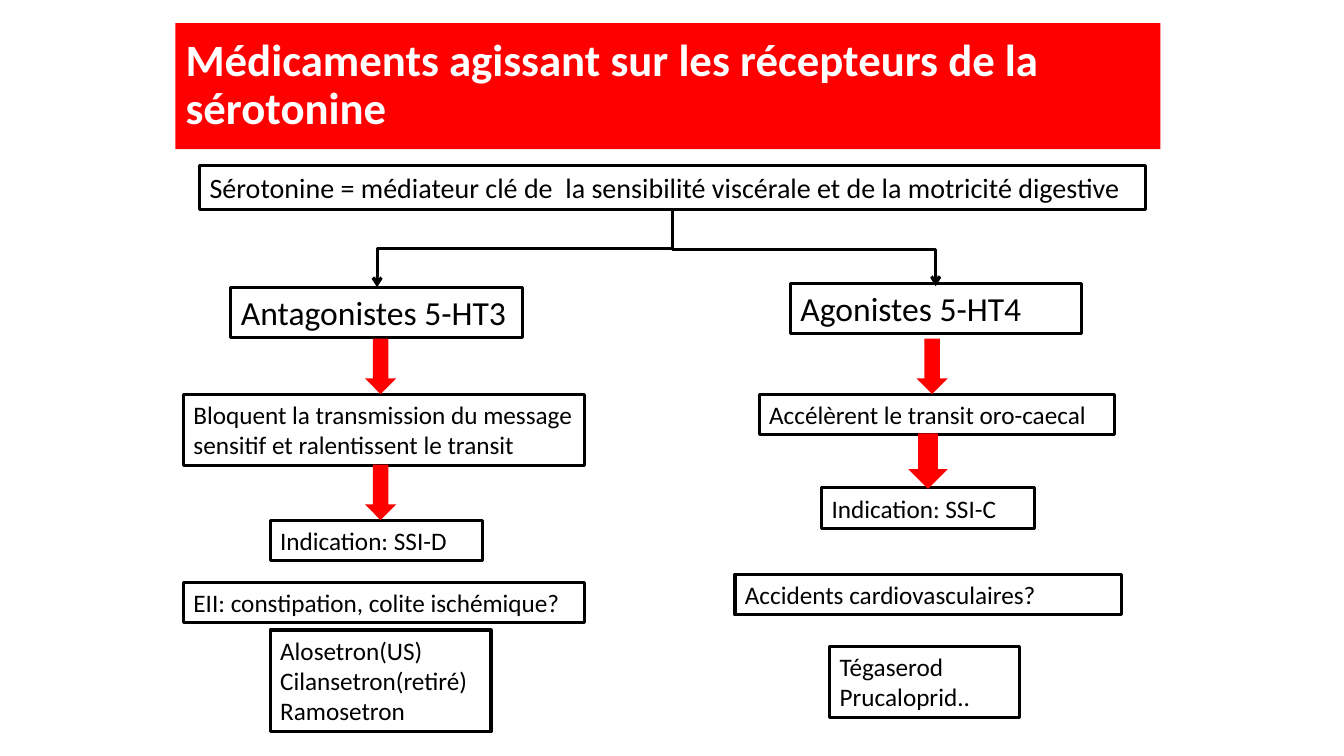
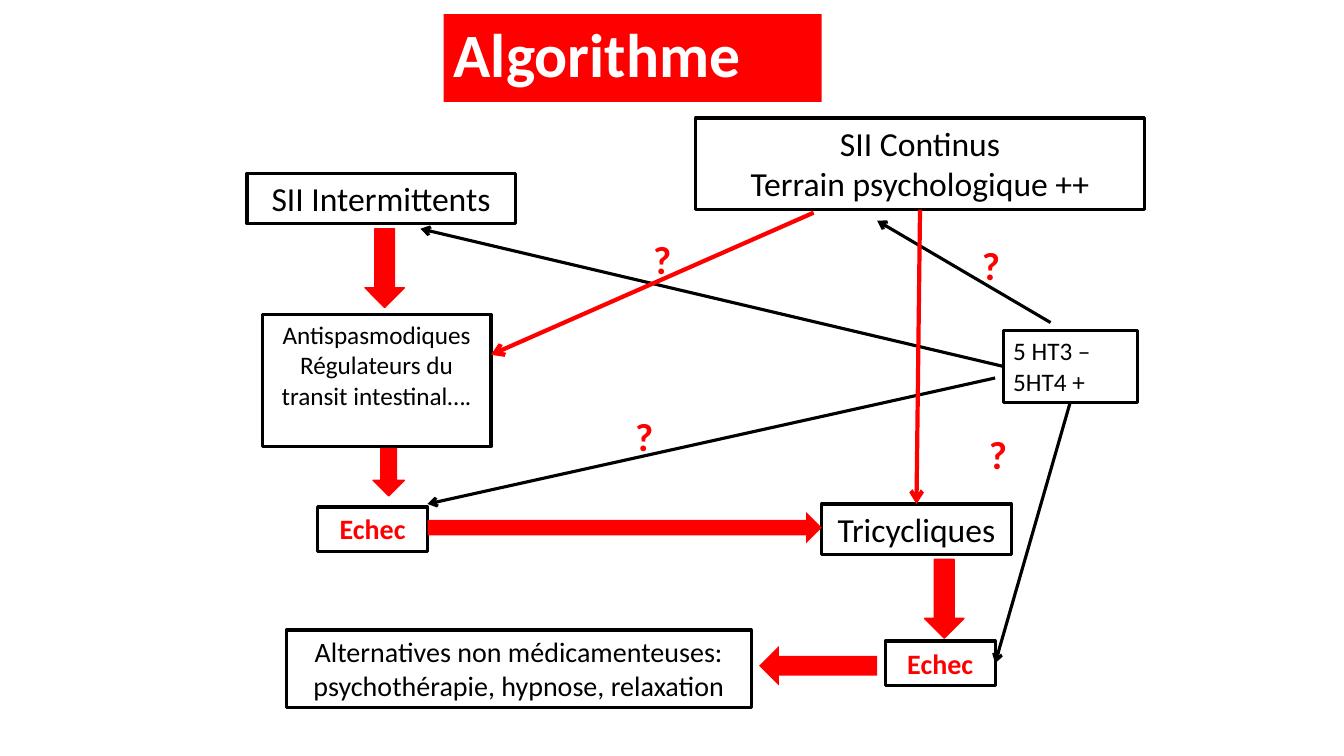
"""Build two slides on serotonin receptor drugs and the treatment algorithm."""
from pptx import Presentation
from pptx.dml.color import RGBColor
from pptx.enum.shapes import MSO_CONNECTOR, MSO_SHAPE
from pptx.enum.text import MSO_ANCHOR, MSO_AUTO_SIZE, PP_ALIGN
from pptx.oxml.ns import qn
from pptx.util import Inches, Pt
from lxml.etree import SubElement

RED, BLACK, WHITE = "FF0000", "000000", "FFFFFF"
FONT = "Calibri"
LEFT, CENTER = PP_ALIGN.LEFT, PP_ALIGN.CENTER
DOWN, RIGHT_ARROW, LEFT_ARROW = MSO_SHAPE.DOWN_ARROW, MSO_SHAPE.RIGHT_ARROW, MSO_SHAPE.LEFT_ARROW
TOP_SIDE, LEFT_SIDE, BOTTOM_SIDE, RIGHT_SIDE = range(4)


def write_text(shape, text, size, color, bold, alignment):
    """Fill a shape with wrapped text in one format."""
    frame = shape.text_frame
    frame.text = text
    frame.word_wrap = True
    frame.auto_size = MSO_AUTO_SIZE.NONE
    for paragraph in frame.paragraphs:
        paragraph.alignment = alignment
        for run in paragraph.runs:
            run.font.name = FONT
            run.font.size = Pt(size)
            run.font.bold = bold
            run.font.color.rgb = RGBColor.from_string(color)


def style_connector(connector, color, width):
    """Give a connector its line and an open arrowhead, without shadow."""
    connector.line.color.rgb = RGBColor.from_string(color)
    connector.line.width = Pt(width)
    properties = connector._element.spPr
    SubElement(properties.find(qn("a:ln")), qn("a:tailEnd"), type="arrow")
    SubElement(properties, qn("a:effectLst"))


slides = [
    {
        "title": ("Médicaments agissant sur les récepteurs de la sérotonine", 32, (1.74, 0.23, 9.77, 1.25)),
        "alignment": LEFT,
        "boxes": {
            "serotonin": ("Sérotonine = médiateur clé de  la sensibilité viscérale et de la motricité digestive",
                          20, (1.98, 1.64, 9.38, 0.44)),
            "antagonists": ("Antagonistes 5-HT3", 24, (2.29, 2.85, 2.89, 0.5)),
            "agonists": ("Agonistes 5-HT4", 24, (7.84, 2.81, 2.89, 0.5)),
            "antagonist effect": ("Bloquent la transmission du message sensitif et ralentissent le transit",
                                  18, (1.82, 3.91, 3.98, 0.71)),
            "agonist effect": ("Accélèrent le transit oro-caecal", 18, (7.53, 3.91, 3.52, 0.4)),
            "antagonist indication": ("Indication: SSI-D", 18, (2.68, 5.16, 2.11, 0.4)),
            "agonist indication": ("Indication: SSI-C", 18, (8.15, 4.84, 2.11, 0.4)),
            "antagonist risks": ("EII: constipation, colite ischémique?", 18, (1.82, 5.78, 3.98, 0.4)),
            "agonist risks": ("Accidents cardiovasculaires?", 18, (7.29, 5.7, 3.83, 0.4)),
            "antagonist drugs": ("Alosetron(US)\nCilansetron(retiré)\nRamosetron", 18, (2.68, 6.25, 2.19, 1.01)),
            "agonist drugs": ("Tégaserod\nPrucaloprid..", 18, (8.23, 6.41, 1.88, 0.71)),
        },
        "block arrows": [
            (DOWN, False, (3.62, 3.36, 0.31, 0.55)),
            (DOWN, False, (3.62, 4.61, 0.31, 0.55)),
            (DOWN, False, (9.09, 3.36, 0.31, 0.55)),
            (DOWN, False, (9.01, 4.3, 0.39, 0.55)),
        ],
        "elbows": [((6.67, 2.11), (9.28, 2.84)), ((6.67, 2.08), (3.74, 2.85))],
        "lines": [],
        "question marks": [],
    },
    {
        "title": ("Algorithme", 44, (4.4, 0.14, 3.75, 0.87)),
        "alignment": CENTER,
        "boxes": {
            "intermittent": ("SII Intermittents", 24, (2.45, 1.72, 2.66, 0.5)),
            "continuous": ("SII Continus\nTerrain psychologique ++", 24, (6.9, 1.17, 4.45, 0.91)),
            "antispasmodics": ("Antispasmodiques Régulateurs du transit intestinal….", 18, (2.6, 3.12, 2.27, 1.31)),
            "first failure": ("Echec", 20, (3.15, 5.03, 1.09, 0.44)),
            "tricyclics": ("Tricycliques", 24, (8.15, 5, 1.88, 0.5)),
            "second failure": ("Echec", 20, (8.78, 6.36, 1.09, 0.44)),
            "alternatives": ("Alternatives non médicamenteuses: psychothérapie, hypnose, relaxation",
                             20, (2.84, 6.25, 4.61, 0.77)),
            "receptors": ("5 HT3 –\n5HT4 +", 18, (9.95, 3.28, 1.33, 0.71)),
        },
        "block arrows": [
            (DOWN, True, (3.62, 2.27, 0.39, 0.78)),
            (DOWN, True, (9.17, 5.55, 0.39, 0.78)),
            (DOWN, True, (3.7, 4.45, 0.31, 0.47)),
            (RIGHT_ARROW, False, (4.24, 5.08, 3.91, 0.31)),
            (LEFT_ARROW, False, (7.53, 6.41, 1.17, 0.39)),
        ],
        "elbows": [],
        "lines": [
            ((10.42, 3.2), (8.7, 2.19), BLACK, 2.25),
            (("receptors", LEFT_SIDE), (4.17, 2.27), BLACK, 2.25),
            ((9.87, 3.75), (4.24, 5), BLACK, 2.25),
            (("receptors", BOTTOM_SIDE), ("second failure", RIGHT_SIDE), BLACK, 2.25),
            ((8.07, 2.11), (4.87, 3.52), RED, 3),
            (("continuous", BOTTOM_SIDE), ("tricyclics", TOP_SIDE), RED, 3),
        ],
        "question marks": [(6.2, 4.04), (6.38, 2.29), (9.64, 2.34), (9.71, 4.22)],
    },
]

presentation = Presentation()
presentation.slide_width = Inches(13.33)
presentation.slide_height = Inches(7.5)

for content in slides:
    slide = presentation.slides.add_slide(presentation.slide_layouts[5])
    shapes = slide.shapes

    text, size, bounds = content["title"]
    title = shapes.title
    title.left, title.top, title.width, title.height = map(Inches, bounds)
    title.fill.solid()
    title.fill.fore_color.rgb = RGBColor.from_string(RED)
    write_text(title, text, size, WHITE, True, LEFT)
    title.text_frame.vertical_anchor = MSO_ANCHOR.MIDDLE
    title.text_frame.paragraphs[0].line_spacing = 0.9

    boxes = {}
    for name, (text, size, bounds) in content["boxes"].items():
        box = shapes.add_textbox(*map(Inches, bounds))
        box.line.color.rgb = RGBColor.from_string(BLACK)
        box.line.width = Pt(2.25)
        is_failure = text == "Echec"
        alignment = LEFT if name == "receptors" else content["alignment"]
        write_text(box, text, size, RED if is_failure else BLACK, is_failure, alignment)
        boxes[name] = box

    for kind, outlined, bounds in content["block arrows"]:
        arrow = shapes.add_shape(kind, *map(Inches, bounds))
        arrow.shadow.inherit = False
        arrow.fill.solid()
        arrow.fill.fore_color.rgb = RGBColor.from_string(RED)
        if outlined:
            arrow.line.color.rgb = RGBColor.from_string(RED)
            arrow.line.width = Pt(1)
        else:
            arrow.line.fill.background()

    for (start_x, start_y), (end_x, end_y) in content["elbows"]:
        center_x, center_y = (start_x + end_x) / 2, (start_y + end_y) / 2
        side = 1 if end_x > start_x else -1
        half_width = side * (end_y - start_y) / 2
        half_height = abs(end_x - start_x) / 2
        elbow = shapes.add_connector(
            MSO_CONNECTOR.ELBOW,
            Inches(center_x + half_width), Inches(center_y - half_height),
            Inches(center_x - half_width), Inches(center_y + half_height))
        elbow._element.spPr.find(qn("a:xfrm")).set("rot", str((180 + side * 90) * 60000))
        style_connector(elbow, BLACK, 2.25)

    for start, end, color, width in content["lines"]:
        line = shapes.add_connector(MSO_CONNECTOR.STRAIGHT, 0, 0, 0, 0)
        if start[0] in boxes:
            line.begin_connect(boxes[start[0]], start[1])
        else:
            line.begin_x, line.begin_y = map(Inches, start)
        if end[0] in boxes:
            line.end_connect(boxes[end[0]], end[1])
        else:
            line.end_x, line.end_y = map(Inches, end)
        style_connector(line, color, width)

    for left, top in content["question marks"]:
        question_mark = shapes.add_textbox(Inches(left), Inches(top), Inches(0.63), Inches(0.57))
        write_text(question_mark, "?", 28, RED, True, LEFT)

presentation.save("out.pptx")
